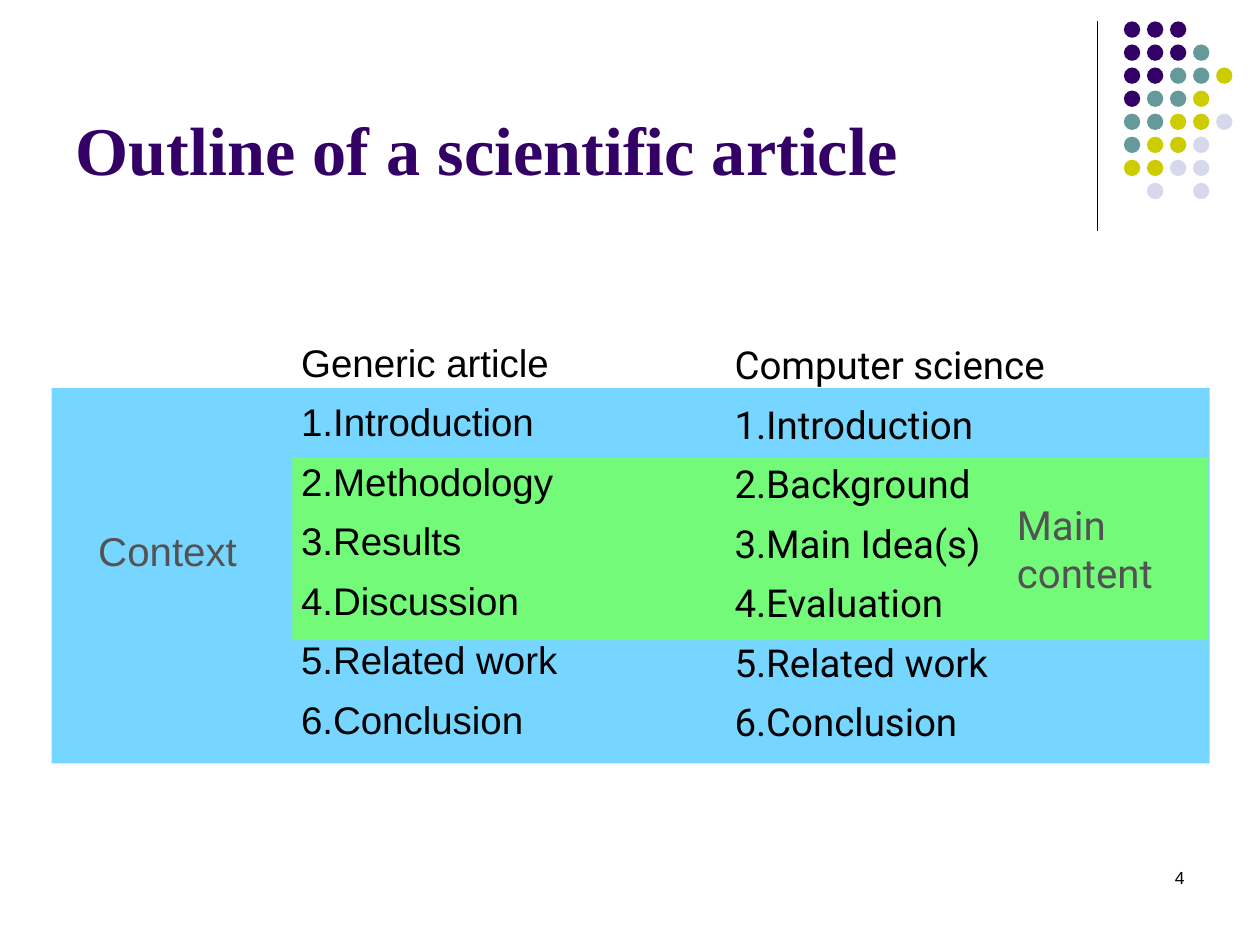
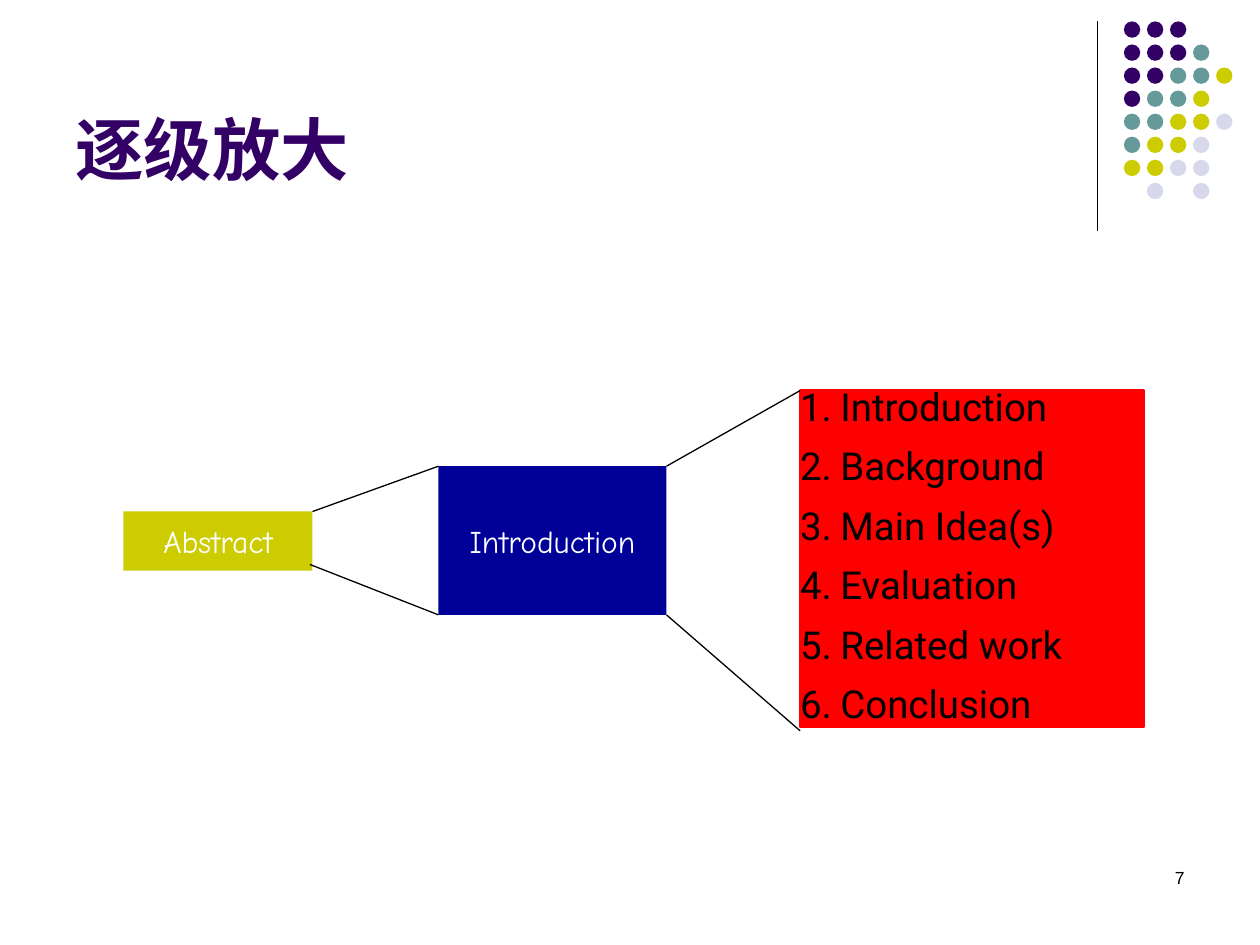
from lxml import etree
from pptx import Presentation
from pptx.dml.color import RGBColor
from pptx.enum.shapes import MSO_CONNECTOR, MSO_SHAPE
from pptx.enum.text import MSO_ANCHOR, MSO_AUTO_SIZE, PP_ALIGN
from pptx.oxml.ns import qn
from pptx.util import Inches, Pt

RECTANGLE, OVAL = MSO_SHAPE.RECTANGLE, MSO_SHAPE.OVAL
STRAIGHT = MSO_CONNECTOR.STRAIGHT
TOP, MIDDLE, BOTTOM = MSO_ANCHOR.TOP, MSO_ANCHOR.MIDDLE, MSO_ANCHOR.BOTTOM
LEFT, CENTER, RIGHT = PP_ALIGN.LEFT, PP_ALIGN.CENTER, PP_ALIGN.RIGHT
NO_FIT = MSO_AUTO_SIZE.NONE

# Shared colours
BLACK, WHITE, GREY = "000000", "FFFFFF", "535353"
PURPLE, TEAL, OLIVE, PALE = "330066", "669999", "CCCC00", "D8D8EC"
SKY, GREEN, NAVY, RED = "76D6FF", "73FA79", "000099", "FF0000"

# Dot ornament: one letter per dot, a space leaves a gap
DOT_COLORS = {"P": PURPLE, "T": TEAL, "O": OLIVE, "L": PALE}
DOT_ROWS = ["PPP", "PPPT", "PPTTO", "PTTO", "TTOOL", "TOOL", "OOLL", " L L"]
DOT_LEFT, DOT_TOP, DOT_STEP, DOT_SIZE = 8.92, 0.17, 0.183, 0.13

TITLE_AREA = (0.5, 0.13, 8.25, 1.42)
NUMBER_AREA = (7.17, 6.83, 2.33, 0.5)

SECTIONS = ["Introduction", "Background", "Main Idea(s)", "Evaluation",
            "Related work", "Conclusion"]
GENERIC_ARTICLE = ["Generic article", "1.Introduction", "2.Methodology",
                   "3.Results", "4.Discussion", "5.Related work",
                   "6.Conclusion"]


def color(value):
    return RGBColor.from_string(value)


def place(shape, area):
    shape.left, shape.top, shape.width, shape.height = map(Inches, area)


def set_bullet(para, numbered, indent=0):
    properties = para._p.get_or_add_pPr()
    properties.set("marL", str(Inches(indent)))
    properties.set("indent", str(-Inches(indent)))
    if numbered:
        etree.SubElement(properties, qn("a:buAutoNum"), type="arabicPeriod")
    else:
        etree.SubElement(properties, qn("a:buNone"))


def set_frame(frame, anchor=TOP, inset=(0.1, 0.05), wrap=True):
    frame.auto_size = NO_FIT
    frame.word_wrap = wrap
    frame.vertical_anchor = anchor
    frame.margin_left = frame.margin_right = Inches(inset[0])
    frame.margin_top = frame.margin_bottom = Inches(inset[1])


def add_line(frame, text, font, size, ink, align=LEFT, bold=False):
    """Write one paragraph, using the empty first one when it is free."""
    first = frame.paragraphs[0]
    para = frame.add_paragraph() if first.runs else first
    para.alignment = align
    span = para.add_run()
    span.text = text
    span.font.name, span.font.size, span.font.bold = font, Pt(size), bold
    span.font.color.rgb = color(ink)
    return para


def add_list(frame, lines, font, numbered=False, indent=0):
    for text in lines:
        has_text = bool(frame.paragraphs[0].runs)
        para = add_line(frame, text, font, 22, BLACK)
        set_bullet(para, numbered, indent)
        para.line_spacing = Pt(22)
        para.space_before = Pt(12 if has_text else 0)


def add_box(shapes, area, fill, kind=RECTANGLE):
    box = shapes.add_shape(kind, *map(Inches, area))
    box.shadow.inherit = False
    box.fill.solid()
    box.fill.fore_color.rgb = color(fill)
    box.line.fill.background()
    return box


def add_text_box(page, area, **frame_options):
    frame = page.shapes.add_textbox(*map(Inches, area)).text_frame
    set_frame(frame, **frame_options)
    return frame


def add_label(page, area, lines, font):
    frame = add_text_box(page, area, anchor=MIDDLE, inset=(0.05, 0.05),
                         wrap=False)
    for text in lines:
        add_line(frame, text, font, 23, GREY)


def add_stage(page, area, fill, text):
    box = add_box(page.shapes, area, fill)
    set_frame(box.text_frame, anchor=MIDDLE)
    add_line(box.text_frame, text, "Comic Neue", 18, WHITE, CENTER)


def add_rule(page, start, end):
    rule = page.shapes.add_connector(STRAIGHT, *map(Inches, start + end))
    rule.line.color.rgb = color(BLACK)
    rule.line.width = Pt(0.75)
    etree.SubElement(rule.element.spPr, qn("a:effectLst"))


def add_ornament(page):
    add_rule(page, (8.71, 0.17), (8.71, 1.83))
    dots = page.shapes.add_group_shape()
    for row, letters in enumerate(DOT_ROWS):
        for column, letter in enumerate(letters):
            if letter in DOT_COLORS:
                area = (DOT_LEFT + column * DOT_STEP, DOT_TOP + row * DOT_STEP,
                        DOT_SIZE, DOT_SIZE)
                add_box(dots.shapes, area, DOT_COLORS[letter], OVAL)


def start_page(deck, layout, title, number):
    """Add a page with the shared ornament, title and page number."""
    page = deck.slides.add_slide(deck.slide_layouts[layout])
    add_ornament(page)
    place(page.shapes.title, TITLE_AREA)
    frame = page.shapes.title.text_frame
    set_frame(frame, anchor=BOTTOM)
    add_line(frame, title, "Times New Roman", 39, PURPLE, bold=True)
    add_line(add_text_box(page, NUMBER_AREA), number, "Arial", 10, BLACK, RIGHT)
    return page


def build_outline(deck):
    page = start_page(deck, 1, "Outline of a scientific article", "4")

    # Context band with the main content band on top
    add_box(page.shapes, (0.41, 3.08, 9.19, 2.98), SKY)
    add_label(page, (0.73, 4.13, 1.2, 0.48), ["Context"], "Arial")
    add_box(page.shapes, (2.32, 3.63, 7.27, 1.45), GREEN)
    add_label(page, (8.02, 3.92, 1.27, 0.87), ["Main", "content"], "Roboto")

    # Generic list, brought in front of the bands
    body = page.placeholders[1]
    place(body, (2.29, 2.7, 4.24, 3.41))
    set_frame(body.text_frame)
    add_list(body.text_frame, GENERIC_ARTICLE, "Arial")
    page.shapes.element.append(body.element)

    # Computer science list
    frame = add_text_box(page, (5.83, 2.77, 2.73, 3.14), inset=(0, 0))
    add_list(frame, ["Computer science"], "Roboto")
    add_list(frame, SECTIONS, "Roboto", numbered=True)


def build_zoom(deck):
    page = start_page(deck, 5, "逐级放大", "7")

    # Three stages of growing detail
    add_stage(page, (0.98, 4.06, 1.5, 0.47), OLIVE, "Abstract")
    add_stage(page, (3.48, 3.7, 1.81, 1.18), NAVY, "Introduction")
    article = add_box(page.shapes, (6.35, 3.1, 2.73, 2.67), RED)
    article.line.color.rgb = color(RED)
    article.line.width = Pt(1.25)
    set_frame(article.text_frame, inset=(0, 0))
    add_list(article.text_frame, SECTIONS, "Roboto", numbered=True, indent=0.32)

    # Zoom lines between the corners of the stages
    for start, end in [((2.48, 4.06), (3.48, 3.7)), ((2.46, 4.48), (3.48, 4.88)),
                       ((5.29, 4.88), (6.35, 5.8)), ((5.29, 3.7), (6.35, 3.1))]:
        add_rule(page, start, end)


def main():
    deck = Presentation()
    deck.slide_width, deck.slide_height = Inches(10), Inches(7.5)
    build_outline(deck)
    build_zoom(deck)
    deck.save("out.pptx")


if __name__ == "__main__":
    main()
